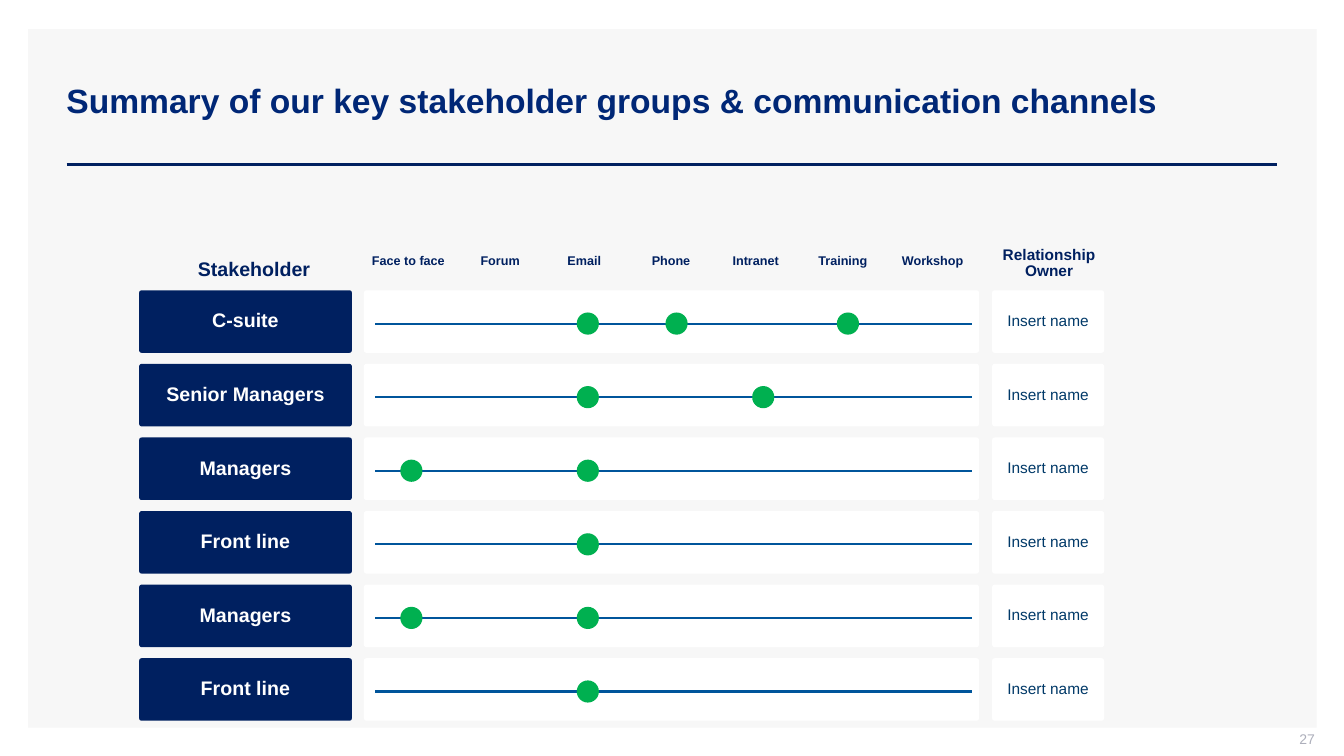
from pptx import Presentation
from pptx.dml.color import RGBColor
from pptx.enum.shapes import MSO_CONNECTOR, MSO_SHAPE
from pptx.enum.text import MSO_ANCHOR, PP_ALIGN
from pptx.oxml.ns import qn
from pptx.util import Inches, Pt
from lxml.etree import SubElement

NAVY = RGBColor(0x00, 0x20, 0x60)
TITLE_BLUE = RGBColor(0x00, 0x27, 0x76)
NAME_BLUE = RGBColor(0x00, 0x39, 0x68)
LINE_BLUE = RGBColor(0x00, 0x55, 0x9B)
GREEN = RGBColor(0x00, 0xB0, 0x50)
WHITE = RGBColor(0xFF, 0xFF, 0xFF)
PALE_GREY = RGBColor(0xF7, 0xF7, 0xF7)
MID_GREY = RGBColor(0xAD, 0xAF, 0xBB)

presentation = Presentation()
presentation.slide_width = Inches(13.33)
presentation.slide_height = Inches(7.5)
slide = presentation.slides.add_slide(presentation.slide_layouts[6])


def add_block(kind, left, top, width, height, fill):
    block = slide.shapes.add_shape(
        kind, Inches(left), Inches(top), Inches(width), Inches(height))
    block.shadow.inherit = False
    block.fill.solid()
    block.fill.fore_color.rgb = fill
    block.line.fill.background()
    if kind == MSO_SHAPE.ROUNDED_RECTANGLE:
        block.adjustments[0] = 0.04
    return block


def write(shape, text, size, color, bold=True, align=PP_ALIGN.CENTER,
          anchor=MSO_ANCHOR.MIDDLE, insets=(0, 0, 0, 0), spacing=0.9):
    frame = shape.text_frame
    frame.word_wrap = True
    frame.vertical_anchor = anchor
    (frame.margin_left, frame.margin_top,
     frame.margin_right, frame.margin_bottom) = [Inches(i) for i in insets]
    paragraph = frame.paragraphs[0]
    paragraph.text = text
    paragraph.alignment = align
    paragraph.line_spacing = spacing
    paragraph.font.name = "Arial"
    paragraph.font.size = Pt(size)
    paragraph.font.bold = bold
    paragraph.font.color.rgb = color


# Background, title and page number
add_block(MSO_SHAPE.RECTANGLE, 0.28, 0.29, 12.78, 6.93, PALE_GREY)
title = slide.shapes.add_textbox(
    Inches(0.56), Inches(0.4), Inches(12.11), Inches(1.19))
write(title, "Summary of our key stakeholder groups & communication channels",
      24, TITLE_BLUE, align=PP_ALIGN.LEFT,
      insets=(0.1, 0.05, 0.1, 0.05), spacing=1.0)
page_number = slide.shapes.add_textbox(
    Inches(10.04), Inches(7.25), Inches(3), Inches(0.21))
write(page_number, "27", 10, MID_GREY, bold=False, align=PP_ALIGN.RIGHT,
      insets=(0.1, 0, 0, 0.05), spacing=1.0)

# Column headings: text, left, top, width, height, size
headings = [
    ("Stakeholder", 1.96, 2.58, 1.12, 0.21, 14),
    ("Relationship Owner", 9.75, 2.45, 1.31, 0.33, 11),
]
channels = [
    ("Face to face", 3.61, 0.88), ("Forum", 4.52, 0.88),
    ("Email", 5.49, 0.61), ("Phone", 6.26, 0.79), ("Intranet", 7.1, 0.79),
    ("Training", 7.92, 0.88), ("Workshop", 8.81, 0.88),
]
headings += [(name, left, 2.53, width, 0.14, 9)
             for name, left, width in channels]
for text, left, top, width, height, size in headings:
    heading = slide.shapes.add_textbox(
        Inches(left), Inches(top), Inches(width), Inches(height))
    write(heading, text, size, NAVY, anchor=MSO_ANCHOR.TOP)

# Stakeholder rows with the channels each one uses
stakeholders = [
    ("C-suite", ["Email", "Phone", "Training"]),
    ("Senior Managers", ["Email", "Intranet"]),
    ("Managers", ["Face to face", "Email"]),
    ("Front line", ["Email"]),
    ("Managers", ["Face to face", "Email"]),
    ("Front line", ["Email"]),
]
ROW_TOP, ROW_PITCH, ROW_HEIGHT = 2.88, 0.73, 0.62
PANEL_INSETS = (0.05, 0.05, 0.05, 0.05)
row_tops = [ROW_TOP + ROW_PITCH * row for row in range(len(stakeholders))]
for top, (stakeholder, _) in zip(row_tops, stakeholders):
    group, track, owner = [
        add_block(MSO_SHAPE.ROUNDED_RECTANGLE, left, top, width, ROW_HEIGHT, fill)
        for left, width, fill in [
            (1.38, 2.11, NAVY), (3.61, 6.1, WHITE), (9.84, 1.11, WHITE)]
    ]
    write(group, stakeholder, 14, WHITE, insets=PANEL_INSETS)
    write(owner, "Insert name", 11, NAME_BLUE, bold=False, insets=PANEL_INSETS)

# Title rule and one line per row: left, right, y, color, weight
lines = [(0.66, 12.67, 1.63, NAVY, 2)]
lines += [(3.72, 9.64, top + 0.33, LINE_BLUE, 1.5) for top in row_tops]
for left, right, y, color, weight in lines:
    line = slide.shapes.add_connector(
        MSO_CONNECTOR.STRAIGHT, Inches(left), Inches(y), Inches(right), Inches(y))
    line.line.color.rgb = color
    line.line.width = Pt(weight)
    SubElement(line._element.spPr, qn("a:effectLst"))

# Channel markers
marker_lefts = {"Face to face": 3.97, "Email": 5.72, "Phone": 6.6,
                "Intranet": 7.46, "Training": 8.3}
for top, (_, used_channels) in zip(row_tops, stakeholders):
    for channel in used_channels:
        add_block(MSO_SHAPE.FLOWCHART_CONNECTOR, marker_lefts[channel],
                  top + 0.22, 0.22, 0.22, GREEN)

presentation.save("out.pptx")
